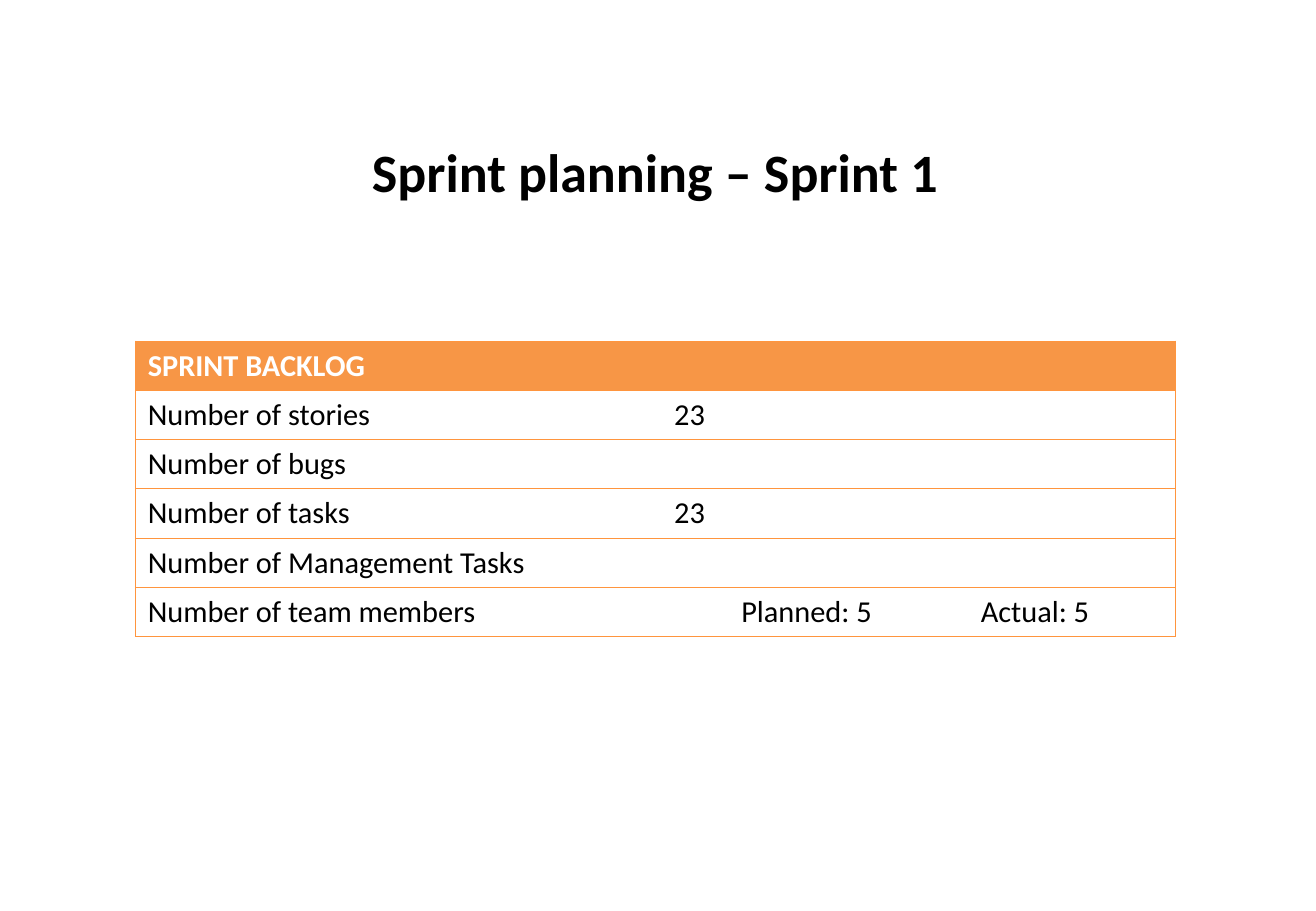
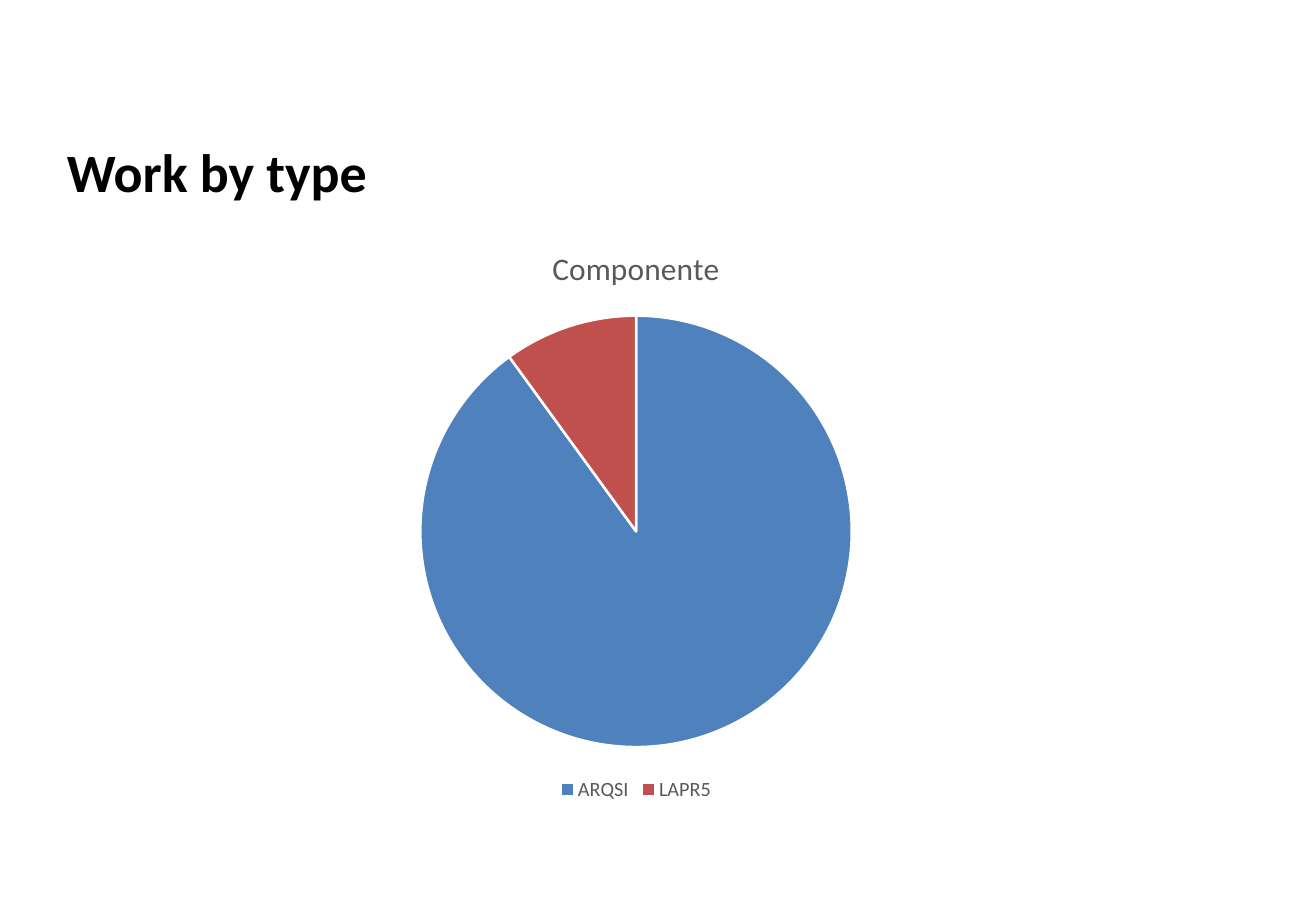
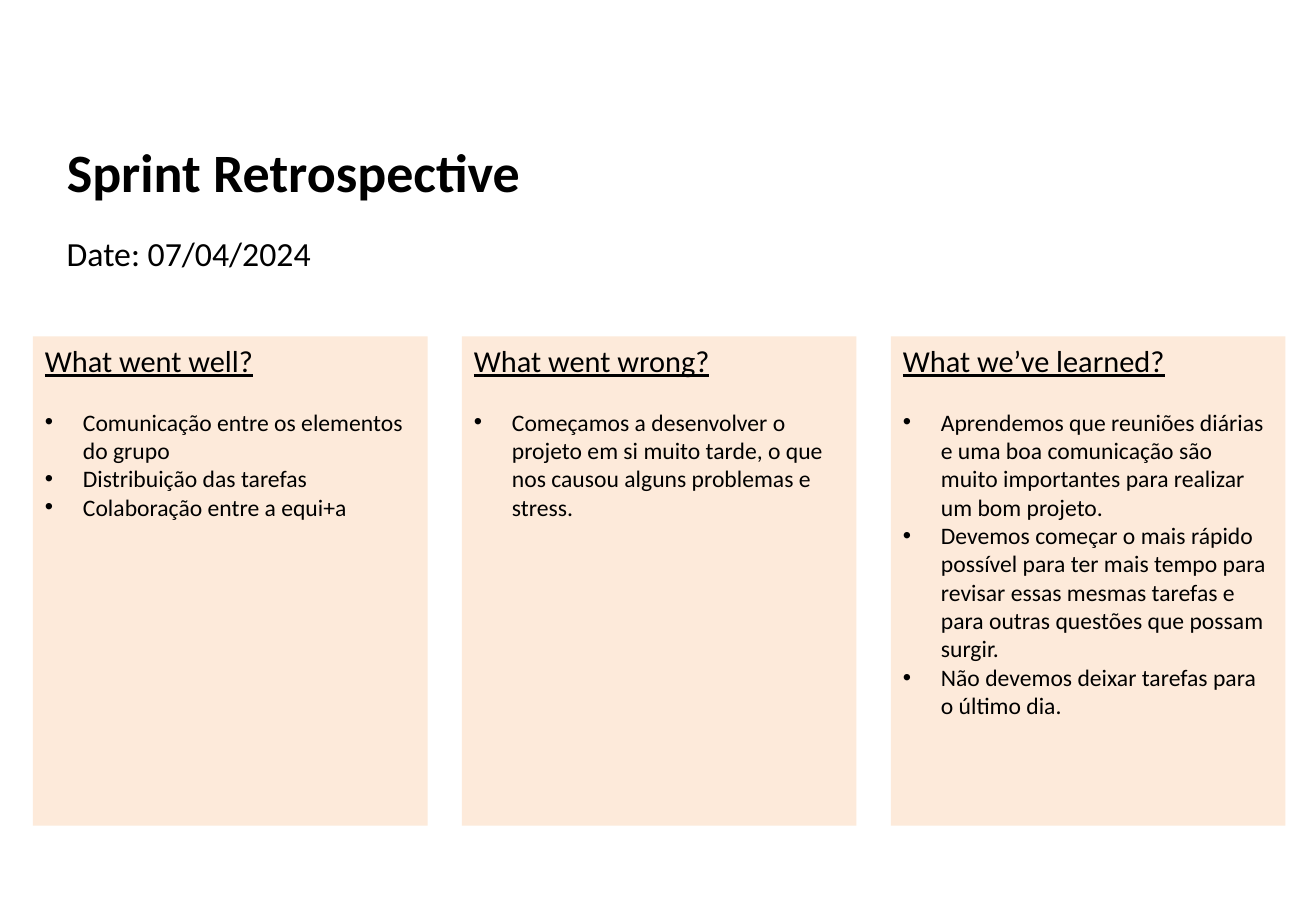
from dataclasses import dataclass

from lxml.etree import SubElement as Sub
from pptx import Presentation as Deck
from pptx.chart.data import CategoryChartData as Data
from pptx.dml.color import RGBColor as Rgb
from pptx.enum.chart import XL_CHART_TYPE as Kind, XL_LEGEND_POSITION as Side
from pptx.enum.shapes import MSO_SHAPE as Form
from pptx.enum.text import MSO_ANCHOR as Anchor, PP_ALIGN as Align
from pptx.oxml.ns import qn
from pptx.util import Pt


@dataclass(frozen=True)
class Theme:
    """Hold the colours, font and type sizes of the deck."""
    font: str = "Calibri"
    ink: str = "000000"
    paper: str = "FFFFFF"
    grey: str = "595959"
    head: str = "F79646"
    rule: str = "FF953E"
    panel: str = "FDEADA"
    slices: tuple = ("4F81BD", "C0504D")
    title: float = 32
    date: float = 20
    chart: float = 18.6
    text: float = 18
    item: float = 14
    key: float = 12


LOOK = Theme()
SIZE = (780, 540)
TITLE = (32.4, 78.5, 712, 45.4)
ROWS = [
    ("SPRINT BACKLOG", ""),
    ("Number of stories", "23"),
    ("Number of bugs", ""),
    ("Number of tasks", "23"),
    ("Number of Management Tasks", ""),
    ("Number of team members", "Planned: 5\tActual: 5"),
]
PANELS = [
    ("What went well?", [
        "Comunicação entre os elementos do grupo",
        "Distribuição das tarefas",
        "Colaboração entre a equi+a",
    ]),
    ("What went wrong?", [
        "Começamos a desenvolver o projeto em si muito tarde, "
        "o que nos causou alguns problemas e stress.",
    ]),
    ("What we’ve learned?", [
        "Aprendemos que reuniões diárias e uma boa comunicação são "
        "muito importantes para realizar um bom projeto.",
        "Devemos começar o mais rápido possível para ter mais tempo para "
        "revisar essas mesmas tarefas e para outras questões que possam surgir.",
        "Não devemos deixar tarefas para o último dia.",
    ]),
]


def pts(box):
    """Turn a box of points into lengths."""
    return [Pt(val) for val in box]


def put(obj, vals):
    """Set attributes from a dict of format values."""
    for name, val in vals.items():
        setattr(obj, name, val)


def style(font, size, tint=LOOK.ink, **more):
    """Give a font the deck face, a size and a colour."""
    put(font, {"name": LOOK.font, "size": Pt(size), **more})
    font.color.rgb = Rgb.from_string(tint)


def paint(fill, tint):
    """Fill with a solid colour."""
    fill.solid()
    fill.fore_color.rgb = Rgb.from_string(tint)


def write(par, text, size, tint=LOOK.ink, **more):
    """Write one styled run in a paragraph."""
    run = par.add_run()
    run.text = text
    style(run.font, size, tint, **more)


def bullet(par, dent):
    """Give a paragraph a hanging bullet."""
    props = par._p.get_or_add_pPr()
    props.set("marL", str(Pt(dent)))
    props.set("indent", str(-Pt(dent)))
    Sub(props, qn("a:buFont"), typeface="Arial")
    Sub(props, qn("a:buChar"), char="•")


def stop(par, at):
    """Add a left tab stop to a paragraph."""
    tabs = Sub(par._p.get_or_add_pPr(), qn("a:tabLst"))
    Sub(tabs, qn("a:tab"), pos=str(Pt(at)), algn="l")


def edge(cell, sides):
    """Rule the given sides of a cell and clear the others."""
    props = cell._tc.get_or_add_tcPr()
    for spot, side in enumerate("LRTB"):
        line = props.makeelement(qn(f"a:ln{side}"), {"w": str(Pt(0.75))})
        props.insert(spot, line)
        if side in sides:
            fill = Sub(line, qn("a:solidFill"))
            Sub(fill, qn("a:srgbClr"), val=LOOK.rule)
        else:
            Sub(line, qn("a:noFill"))


def page(deck, text, align=Align.LEFT):
    """Add a slide with the shared title."""
    slide = deck.slides.add_slide(deck.slide_layouts[5])
    name = slide.shapes.title
    put(name, dict(zip(("left", "top", "width", "height"), pts(TITLE))))
    put(name.text_frame, {"vertical_anchor": Anchor.MIDDLE, "word_wrap": True})
    par = name.text_frame.paragraphs[0]
    par.alignment = align
    write(par, text, LOOK.title, bold=True)
    return slide


def grid(slide, box, rows, split):
    """Place the ruled backlog table in a box."""
    frame = slide.shapes.add_table(len(rows), 2, *pts(box))
    table = frame.table
    put(table, {"first_row": False, "horz_banding": False})
    for col, wide in zip(table.columns, (split, box[2] - split)):
        col.width = Pt(wide)
    for y, row in enumerate(rows):
        table.rows[y].height = Pt(box[3] / len(rows))
        for x, text in enumerate(row):
            cell = table.cell(y, x)
            top = y == 0
            cell.vertical_anchor = Anchor.MIDDLE
            paint(cell.fill, LOOK.head if top else LOOK.paper)
            edge(cell, "LTB" if x == 0 else "RTB")
            par = cell.text_frame.paragraphs[0]
            style(par.font, LOOK.text)
            if "\t" in text:
                cell.margin_left = Pt(47)
                stop(par, 142)
            if text:
                write(par, text, LOOK.text, LOOK.paper if top else LOOK.ink, bold=top)


def pie(slide, box, name, parts):
    """Place a pie chart with its title and key in a box."""
    data = Data()
    data.categories = list(parts)
    data.add_series(name, list(parts.values()))
    chart = slide.shapes.add_chart(Kind.PIE, *pts(box), data).chart
    style(chart.font, LOOK.key, LOOK.grey)
    put(chart, {"has_title": True, "has_legend": True})
    write(chart.chart_title.text_frame.paragraphs[0], name, LOOK.chart, LOOK.grey, bold=False)
    chart.chart_title.include_in_layout = False
    put(chart.legend, {"position": Side.BOTTOM, "include_in_layout": False})
    style(chart.legend.font, LOOK.key, LOOK.grey)
    plot = chart.plots[0]
    plot.vary_by_categories = True
    for spot, tint in enumerate(LOOK.slices):
        form = plot.series[0].points[spot].format
        paint(form.fill, tint)
        form.line.color.rgb = Rgb.from_string(LOOK.paper)
        form.line.width = Pt(1.5)


def label(slide, box, text):
    """Place a line of text under the title."""
    frame = slide.shapes.add_textbox(*pts(box)).text_frame
    frame.word_wrap = True
    par = frame.paragraphs[0]
    par.space_after = Pt(4)
    write(par, text, LOOK.date)


def panel(slide, box, head, items):
    """Place a tinted panel with a heading and bullets in a box."""
    shape = slide.shapes.add_shape(Form.RECTANGLE, *pts(box))
    shape.shadow.inherit = False
    paint(shape.fill, LOOK.panel)
    shape.line.fill.background()
    frame = shape.text_frame
    put(frame, {"word_wrap": True, "vertical_anchor": Anchor.TOP})
    par = frame.paragraphs[0]
    put(par, {"alignment": Align.LEFT, "space_after": Pt(17)})
    write(par, head, LOOK.text, underline=True)
    for item in items:
        par = frame.add_paragraph()
        par.alignment = Align.LEFT
        bullet(par, 22.5)
        write(par, item, LOOK.item)


def board(slide, box, panels, gap):
    """Share a box out among equal panels."""
    left, top, width, high = box
    wide = (width - gap * (len(panels) - 1)) / len(panels)
    for spot, (head, items) in enumerate(panels):
        panel(slide, (left + spot * (wide + gap), top, wide, high), head, items)


def main():
    """Build the three slides and save them."""
    deck = Deck()
    put(deck, dict(zip(("slide_width", "slide_height"), pts(SIZE))))
    plan = page(deck, "Sprint planning – Sprint 1", Align.CENTER)
    grid(plan, (80.4, 202.2, 616.4, 175.2), ROWS, 312)
    work = page(deck, "Work by type")
    pie(work, (117, 132, 520, 346), "Componente", {"ARQSI": 90, "LAPR5": 10})
    retro = page(deck, "Sprint Retrospective")
    label(retro, (32.4, 134.6, 712, 36), "Date: 07/04/2024")
    board(retro, (19.6, 199.4, 742.4, 290), PANELS, 20.4)
    deck.save("out.pptx")


if __name__ == "__main__":
    main()
